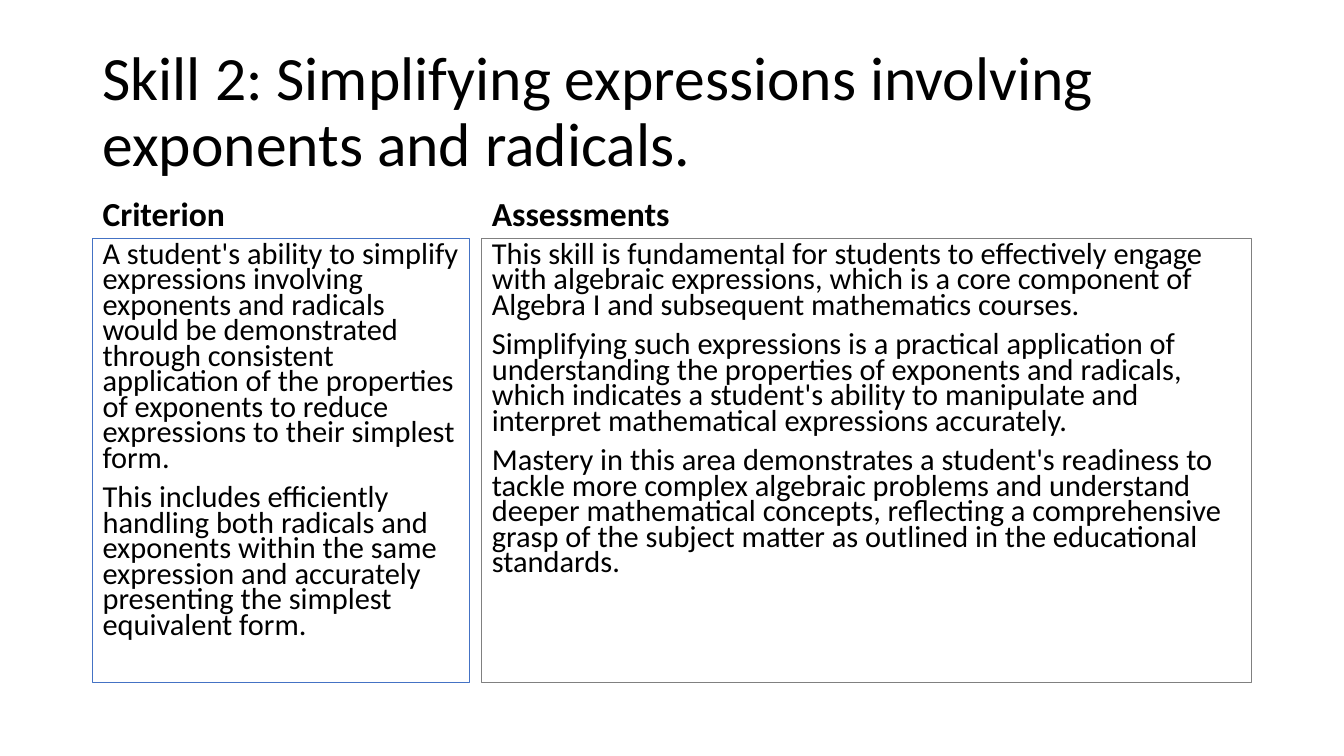
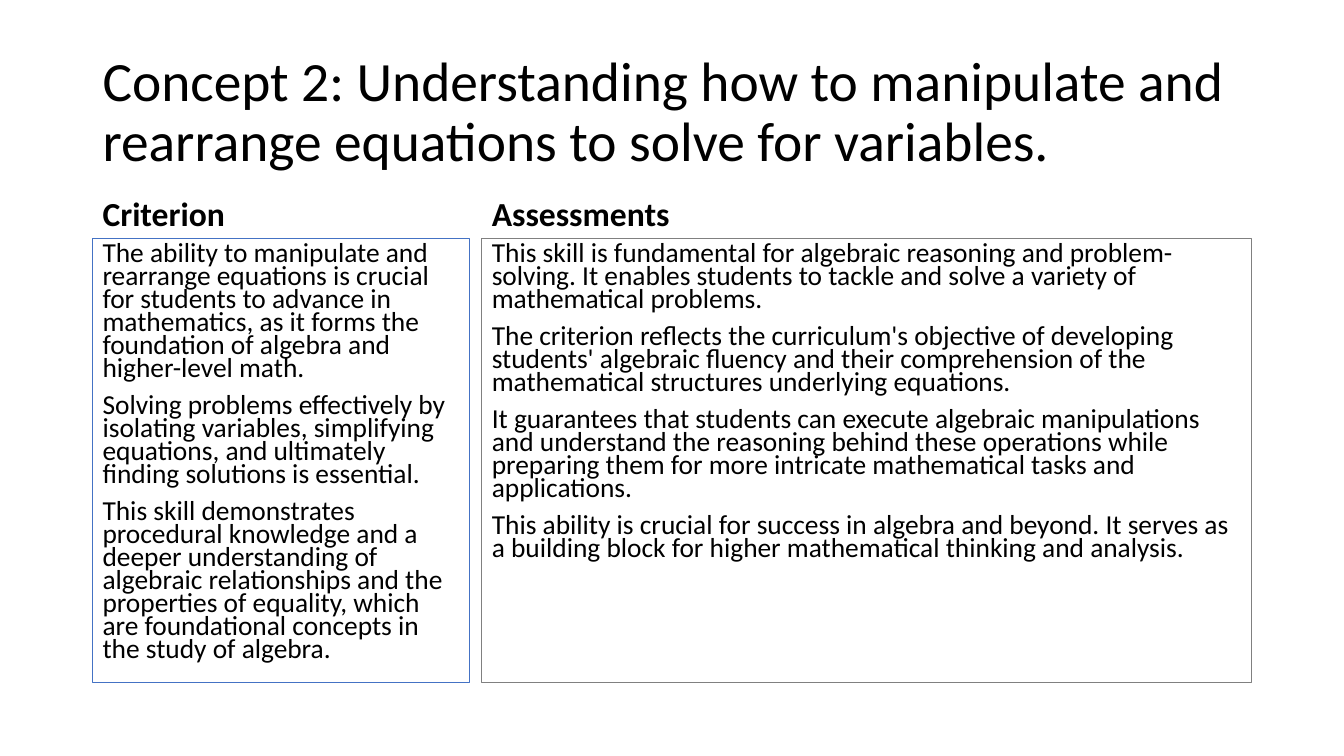
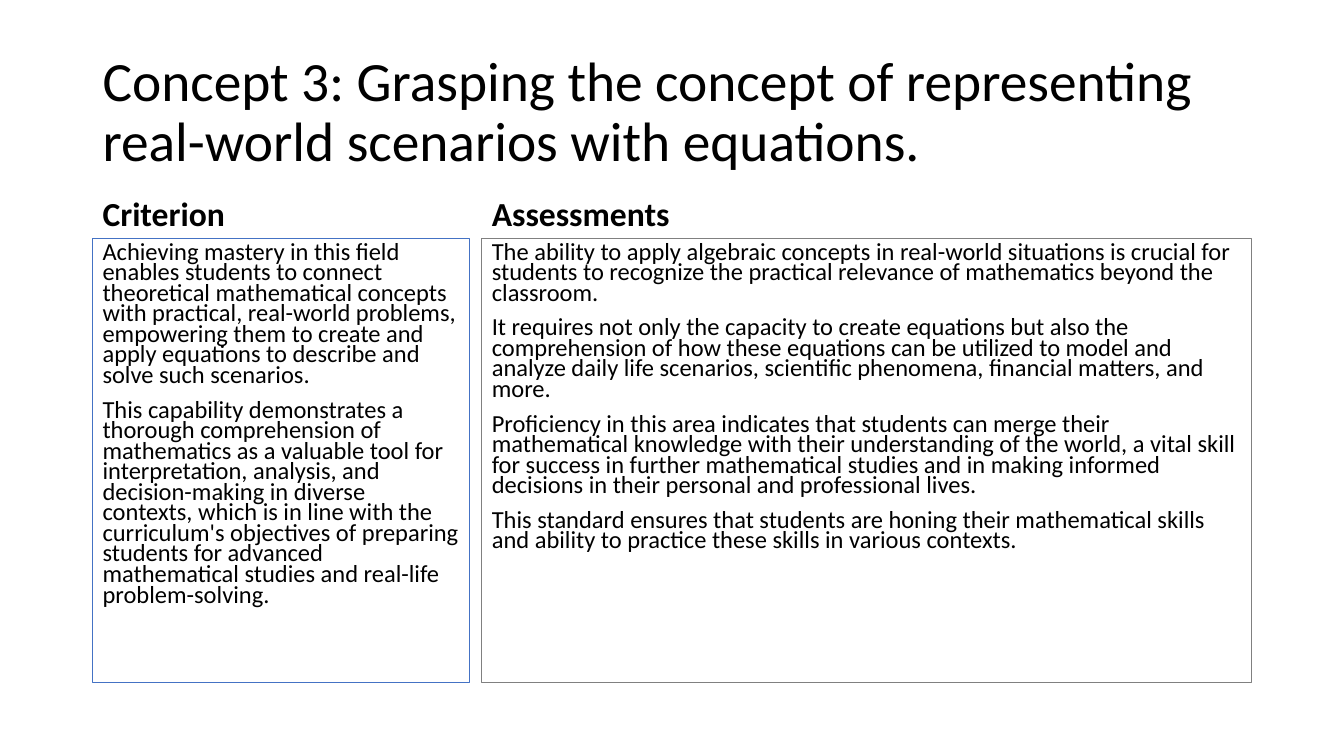
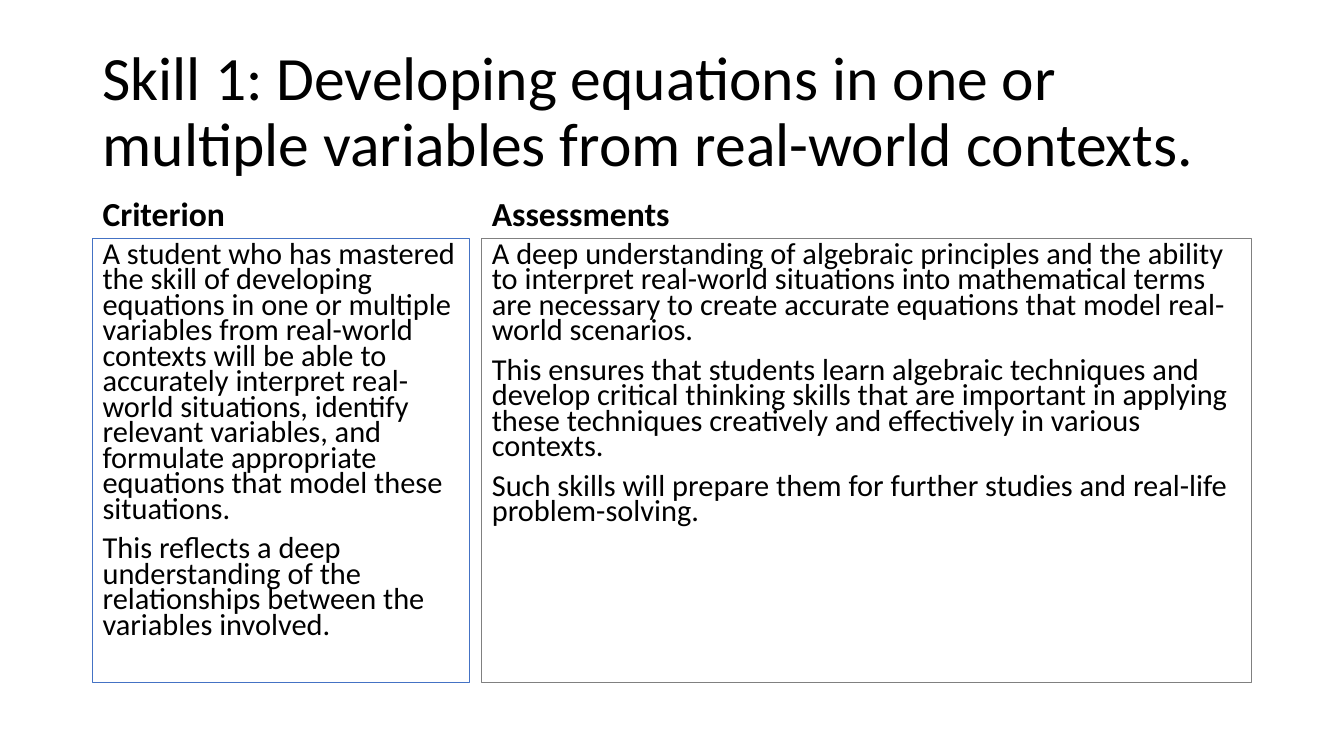
"""Build four slides that pair a criterion with its assessments."""
from pptx import Presentation
from pptx.dml.color import RGBColor
from pptx.enum import text
from pptx.util import Pt

FONT = "Calibri"
COLORS = {"text": "000000", "criterion": "4472C4", "assessments": "808080"}

SLIDES = [
    {
        "title": "Skill 2: Simplifying expressions involving exponents and radicals.",
        "title_size": 44,
        "body_size": 21.7,
        "criterion": [
            "A student's ability to simplify expressions involving exponents and radicals would be demonstrated through consistent application of the properties of exponents to reduce expressions to their simplest form.",
            "This includes efficiently handling both radicals and exponents within the same expression and accurately presenting the simplest equivalent form.",
        ],
        "assessments": [
            "This skill is fundamental for students to effectively engage with algebraic expressions, which is a core component of Algebra I and subsequent mathematics courses.",
            "Simplifying such expressions is a practical application of understanding the properties of exponents and radicals, which indicates a student's ability to manipulate and interpret mathematical expressions accurately.",
            "Mastery in this area demonstrates a student's readiness to tackle more complex algebraic problems and understand deeper mathematical concepts, reflecting a comprehensive grasp of the subject matter as outlined in the educational standards.",
        ],
    },
    {
        "title": "Concept 2: Understanding how to manipulate and rearrange equations to solve for variables.",
        "title_size": 39.6,
        "body_size": 19.6,
        "criterion": [
            "The ability to manipulate and rearrange equations is crucial for students to advance in mathematics, as it forms the foundation of algebra and higher-level math.",
            "Solving problems effectively by isolating variables, simplifying equations, and ultimately finding solutions is essential.",
            "This skill demonstrates procedural knowledge and a deeper understanding of algebraic relationships and the properties of equality, which are foundational concepts in the study of algebra.",
        ],
        "assessments": [
            "This skill is fundamental for algebraic reasoning and problem-solving. It enables students to tackle and solve a variety of mathematical problems.",
            "The criterion reflects the curriculum's objective of developing students' algebraic fluency and their comprehension of the mathematical structures underlying equations.",
            "It guarantees that students can execute algebraic manipulations and understand the reasoning behind these operations while preparing them for more intricate mathematical tasks and applications.",
            "This ability is crucial for success in algebra and beyond. It serves as a building block for higher mathematical thinking and analysis.",
        ],
    },
    {
        "title": "Concept 3: Grasping the concept of representing real-world scenarios with equations.",
        "title_size": 39.6,
        "body_size": 17.5,
        "criterion": [
            "Achieving mastery in this field enables students to connect theoretical mathematical concepts with practical, real-world problems, empowering them to create and apply equations to describe and solve such scenarios.",
            "This capability demonstrates a thorough comprehension of mathematics as a valuable tool for interpretation, analysis, and decision-making in diverse contexts, which is in line with the curriculum's objectives of preparing students for advanced mathematical studies and real-life problem-solving.",
        ],
        "assessments": [
            "The ability to apply algebraic concepts in real-world situations is crucial for students to recognize the practical relevance of mathematics beyond the classroom.",
            "It requires not only the capacity to create equations but also the comprehension of how these equations can be utilized to model and analyze daily life scenarios, scientific phenomena, financial matters, and more.",
            "Proficiency in this area indicates that students can merge their mathematical knowledge with their understanding of the world, a vital skill for success in further mathematical studies and in making informed decisions in their personal and professional lives.",
            "This standard ensures that students are honing their mathematical skills and ability to practice these skills in various contexts.",
        ],
    },
    {
        "title": "Skill 1: Developing equations in one or multiple variables from real-world contexts.",
        "title_size": 44,
        "body_size": 21.7,
        "criterion": [
            "A student who has mastered the skill of developing equations in one or multiple variables from real-world contexts will be able to accurately interpret real-world situations, identify relevant variables, and formulate appropriate equations that model these situations.",
            "This reflects a deep understanding of the relationships between the variables involved.",
        ],
        "assessments": [
            "A deep understanding of algebraic principles and the ability to interpret real-world situations into mathematical terms are necessary to create accurate equations that model real-world scenarios.",
            "This ensures that students learn algebraic techniques and develop critical thinking skills that are important in applying these techniques creatively and effectively in various contexts.",
            "Such skills will prepare them for further studies and real-life problem-solving.",
        ],
    },
]

LEFT, GAP = 66.2, 8.6
COLUMNS = [("criterion", 269.4), ("assessments", 549.9)]
TITLE_TOP, TITLE_HEIGHT = 28.8, 104.4
HEAD_TOP, HEAD_HEIGHT = 128.2, 42.4
BODY_HEIGHT = 316.8


def add_text(s, paragraphs, left, top, width, height, size, bold=False,
             spacing=0.9, before=10, anchor=text.MSO_ANCHOR.TOP, line=None):
    box = s.shapes.add_textbox(Pt(left), Pt(top), Pt(width), Pt(height))
    if line:
        box.line.color.rgb = RGBColor.from_string(line)
        box.line.width = Pt(0.75)
    tf = box.text_frame
    tf.word_wrap = True
    tf.vertical_anchor = anchor
    for i, content in enumerate(paragraphs):
        p = tf.add_paragraph() if i else tf.paragraphs[0]
        p.line_spacing = spacing
        p.space_before = Pt(before)
        r = p.add_run()
        r.text = content
        r.font.name = FONT
        r.font.size = Pt(size)
        r.font.bold = bold
        r.font.color.rgb = RGBColor.from_string(COLORS["text"])


def add_slide(prs, content):
    s = prs.slides.add_slide(prs.slide_layouts[6])
    title_width = sum(width for _, width in COLUMNS) + GAP
    add_text(s, [content["title"]], LEFT, TITLE_TOP, title_width, TITLE_HEIGHT,
             content["title_size"], before=0, anchor=text.MSO_ANCHOR.MIDDLE)
    left = LEFT
    for name, width in COLUMNS:
        add_text(s, [name.capitalize()], left, HEAD_TOP, width, HEAD_HEIGHT, 24,
                 bold=True, anchor=text.MSO_ANCHOR.BOTTOM)
        add_text(s, content[name], left, HEAD_TOP + HEAD_HEIGHT, width, BODY_HEIGHT,
                 content["body_size"], spacing=0.7, line=COLORS[name])
        left += width + GAP


def main():
    prs = Presentation()
    prs.slide_width, prs.slide_height = Pt(960), Pt(540)
    for content in SLIDES:
        add_slide(prs, content)
    prs.save("out.pptx")


if __name__ == "__main__":
    main()
